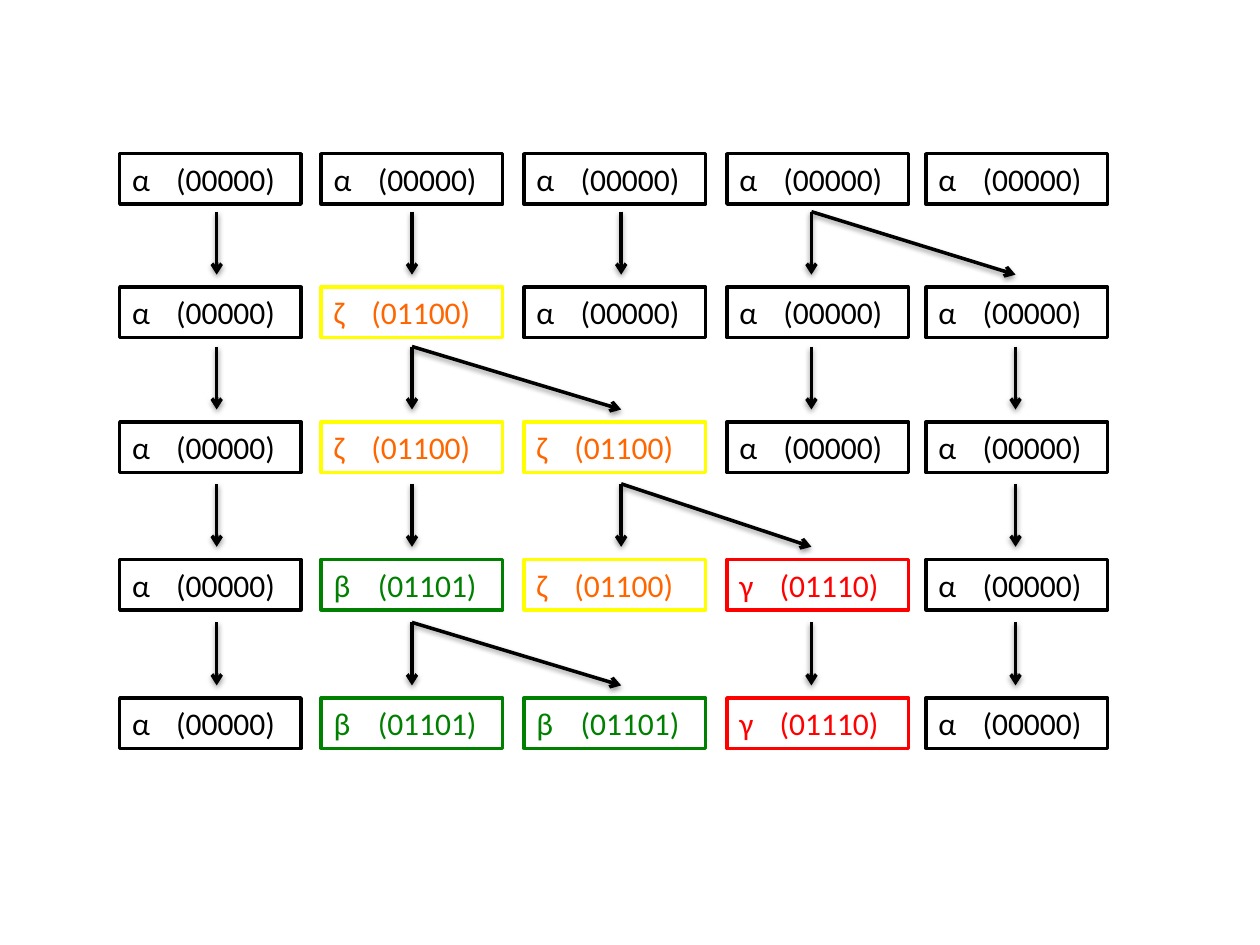
from lxml import etree
from pptx import Presentation
from pptx.dml.color import RGBColor as RGB
from pptx.enum.shapes import MSO_CONNECTOR as Link, MSO_SHAPE as Shape
from pptx.enum.text import MSO_ANCHOR as Anchor, MSO_AUTO_SIZE as Fit, PP_ALIGN as Align
from pptx.oxml.ns import qn
from pptx.util import Inches, Pt

COLORS = {
    "black": "000000", "white": "FFFFFF", "yellow": "FFFF00",
    "orange": "FF6600", "green": "008000", "red": "FF0000",
}
# letter: code, border, text color, tab stop
TYPES = {
    "α": ("(00000)", "black", "black", 0.35),
    "ζ": ("(01100)", "yellow", "orange", 0.3),
    "β": ("(01101)", "green", "green", 0.35),
    "γ": ("(01110)", "red", "red", 0.32),
}
ROWS = ["ααααα", "αζααα", "αζζαα", "αβζγα", "αββγα"]
# parent column of each box in the next row
PARENTS = [(0, 1, 2, 3, 3), (0, 1, 1, 3, 4), (0, 1, 2, 2, 4), (0, 1, 1, 3, 4)]
TOPS = [1.22, 2.28, 3.35, 4.44, 5.54]
LEFTS = [0.95, 2.55, 4.16, 5.77, 7.35]
STEMS = [1.72, 3.27, 4.93, 6.44, 8.06]
WIDTH, HEIGHT = 1.44, 0.4
DROP, GAP = 0.5, 0.1


def color(name):
    """Return the named color."""
    return RGB.from_string(COLORS[name])


def add_node(parent, tag, **attrs):
    """Add a drawing element with its attributes."""
    node = etree.SubElement(parent, qn(tag))
    for key, value in attrs.items():
        node.set(key, str(value))
    return node


def add_box(slide, letter, left, top):
    """Add a box with a letter and its code."""
    code, border, ink, stop = TYPES[letter]
    box = slide.shapes.add_shape(
        Shape.RECTANGLE, Inches(left), Inches(top), Inches(WIDTH), Inches(HEIGHT))
    box.shadow.inherit = False
    box.fill.solid()
    box.fill.fore_color.rgb = color("white")
    box.line.color.rgb = color(border)
    box.line.width = Pt(2)
    frame = box.text_frame
    frame.word_wrap = True
    frame.auto_size = Fit.SHAPE_TO_FIT_TEXT
    frame.vertical_anchor = Anchor.TOP
    para = frame.paragraphs[0]
    para.alignment = Align.LEFT
    tabs = add_node(para._p.get_or_add_pPr(), "a:tabLst")
    add_node(tabs, "a:tab", pos=Inches(stop), algn="l")
    run = para.add_run()
    run.text = f"{letter}\t{code}"
    run.font.name = "Calibri"
    run.font.size = Pt(18)
    run.font.color.rgb = color(ink)


def add_arrow(slide, start, end, bottom):
    """Add a shadowed arrow that ends at the given height."""
    arrow = slide.shapes.add_connector(
        Link.STRAIGHT, Inches(start), Inches(bottom - DROP),
        Inches(end), Inches(bottom))
    arrow.line.color.rgb = color("black")
    arrow.line.width = Pt(2)
    add_node(arrow.line._get_or_add_ln(), "a:tailEnd", type="arrow")
    effects = add_node(arrow._element.spPr, "a:effectLst")
    shadow = add_node(effects, "a:outerShdw", blurRad=Pt(3.1), dist=Pt(1.6),
                      dir=90 * 60000, rotWithShape=0)
    tint = add_node(shadow, "a:srgbClr", val=COLORS["black"])
    add_node(tint, "a:alpha", val=38000)


def main():
    """Build the slide with the rows of boxes and their arrows."""
    deck = Presentation()
    deck.slide_width, deck.slide_height = Inches(10), Inches(7.5)
    slide = deck.slides.add_slide(deck.slide_layouts[6])
    for row, (letters, top) in enumerate(zip(ROWS, TOPS)):
        if row:
            for start, end in zip(PARENTS[row - 1], STEMS):
                add_arrow(slide, STEMS[start], end, top - GAP)
        for letter, left in zip(letters, LEFTS):
            add_box(slide, letter, left, top)
    deck.save("out.pptx")


main()
